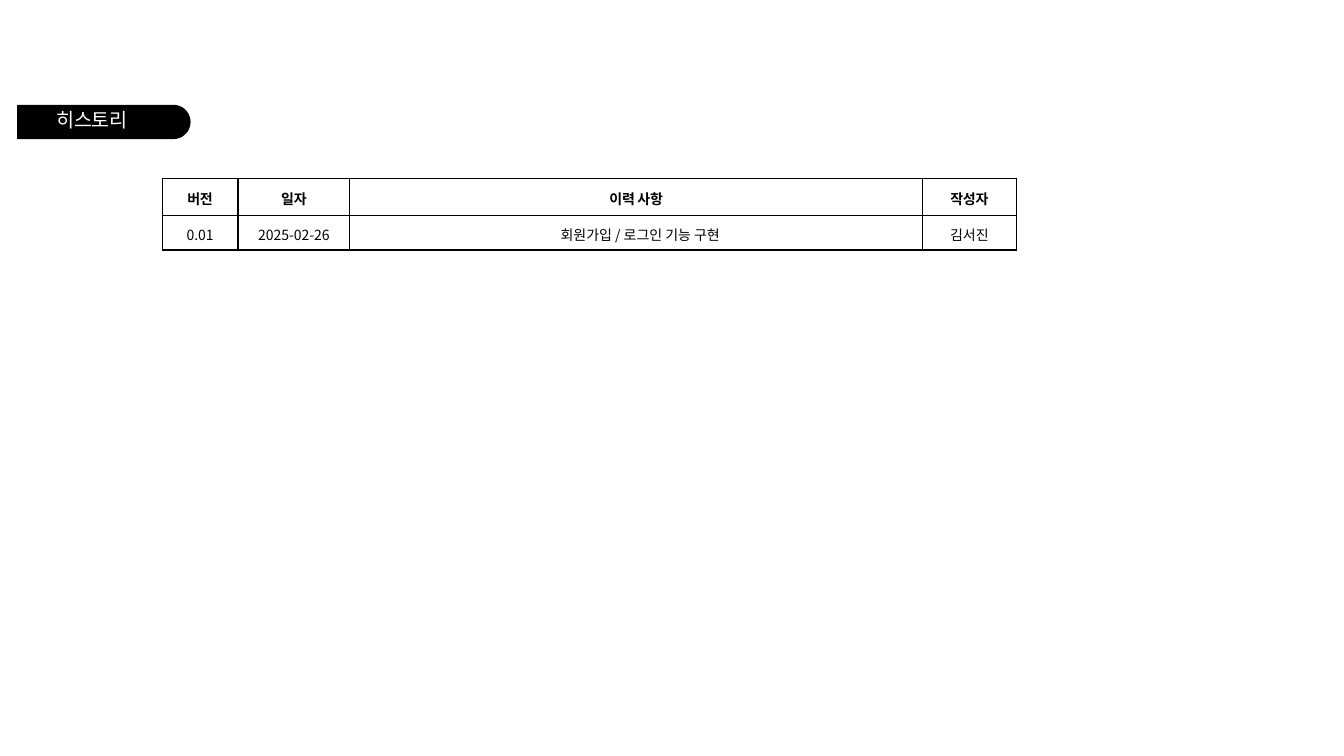
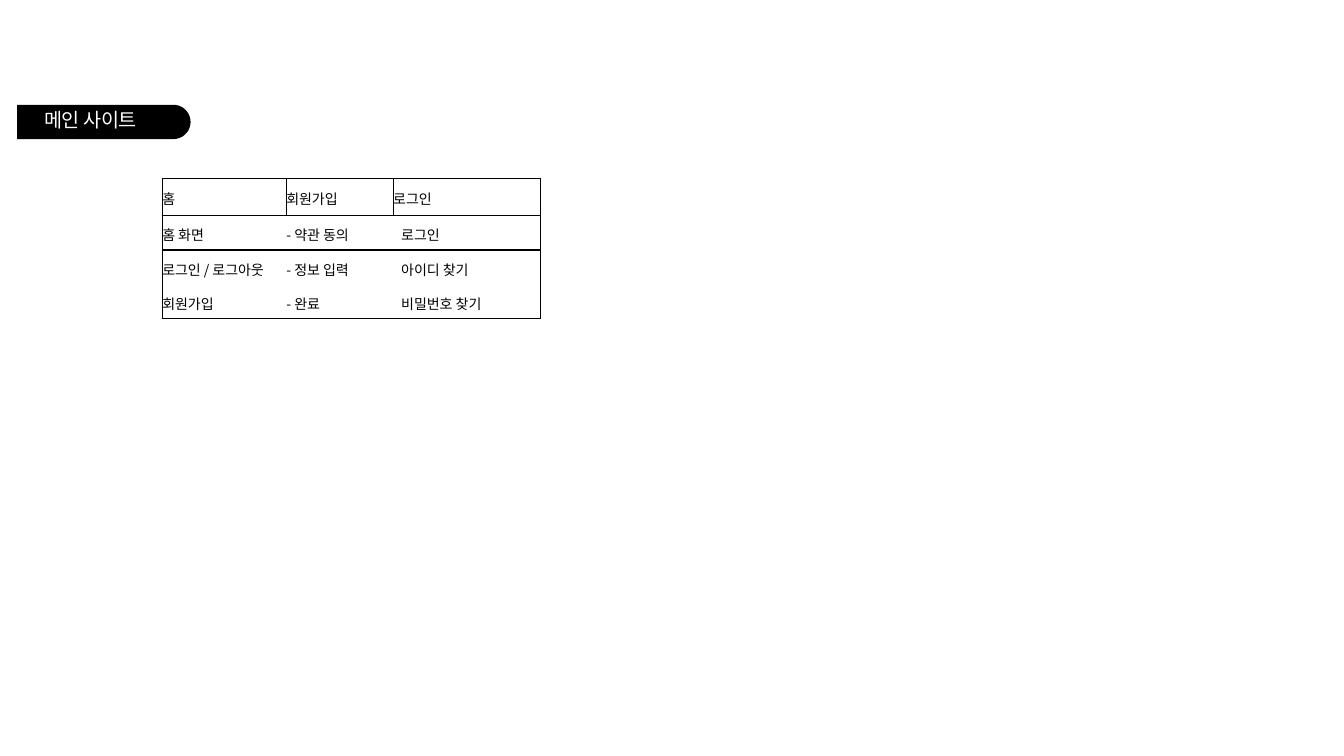
import math
from dataclasses import dataclass

from lxml import etree
from pptx import Presentation
from pptx import util as u
from pptx.dml.color import RGBColor
from pptx.enum import text
from pptx.oxml.ns import qn


@dataclass(frozen=True)
class Theme:
    ink: str = "000000"
    paper: str = "FFFFFF"
    font: str = "Noto Sans CJK KR"
    title_size: float = 14
    body_size: float = 10
    rule_width: float = 1
    title_tracking: int = -30
    header_tracking: int = -20


class Deck:
    """Holds the style and the current slide."""

    def __init__(self, theme):
        self.theme = theme
        self.presentation = Presentation()
        self.presentation.slide_width = u.Inches(13.33)
        self.presentation.slide_height = u.Inches(7.5)
        self.slide = None

    def add_slide(self):
        self.slide = self.presentation.slides.add_slide(self.presentation.slide_layouts[6])

    def add_text(self, frame, content, size, color, space_before, bold=False,
                 tracking=0, align=text.PP_ALIGN.LEFT, indent=0):
        paragraph = frame.paragraphs[0]
        paragraph.alignment = align
        paragraph.space_before = u.Pt(space_before)
        paragraph._p.get_or_add_pPr().set("marL", str(u.Inches(indent)))
        run = paragraph.add_run()
        run.text = content
        formats = {"name": self.theme.font, "size": u.Pt(size), "bold": bold}
        for name, value in formats.items():
            setattr(run.font, name, value)
        run.font.color.rgb = RGBColor.from_string(color)
        properties = run._r.get_or_add_rPr()
        properties.set("spc", str(tracking))
        etree.SubElement(properties, qn("a:ea"), typeface=self.theme.font)

    # Black tab with a half-round right end, and its title
    def title_tab(self, content, left, width):
        tab_left, tab_top, straight, radius = 0.17, 1.04, 1.55, 0.17
        center_x, center_y = tab_left + straight, tab_top + radius
        angles = [math.radians(degrees) for degrees in range(-90, 91, 10)]
        arc = [(u.Inches(center_x + radius * math.cos(angle)),
                u.Inches(center_y + radius * math.sin(angle))) for angle in angles]
        builder = self.slide.shapes.build_freeform(u.Inches(tab_left), u.Inches(tab_top))
        builder.add_line_segments(
            arc + [(u.Inches(tab_left), u.Inches(tab_top + 2 * radius))], close=True)
        tab = builder.convert_to_shape()
        tab.shadow.inherit = False
        tab.fill.solid()
        tab.fill.fore_color.rgb = RGBColor.from_string(self.theme.ink)
        tab.line.fill.background()

        box = self.slide.shapes.add_textbox(
            u.Inches(left), u.Inches(1.06), u.Inches(width), u.Inches(0.26))
        formats = {"margin_left": 0, "margin_right": 0, "margin_bottom": 0,
                   "margin_top": u.Inches(0.01), "word_wrap": True,
                   "auto_size": text.MSO_AUTO_SIZE.SHAPE_TO_FIT_TEXT}
        for name, value in formats.items():
            setattr(box.text_frame, name, value)
        self.add_text(box.text_frame, content, self.theme.title_size, self.theme.paper,
                      space_before=1, tracking=self.theme.title_tracking, indent=0.01)

    # Cell edges: a thin rule where wanted, nothing elsewhere
    def borders(self, cell, edges):
        properties = cell._tc.get_or_add_tcPr()
        for position, (side, ruled) in enumerate(edges.items()):
            line = etree.Element(qn("a:ln" + side), w=str(u.Pt(self.theme.rule_width)))
            if ruled:
                fill = etree.SubElement(line, qn("a:solidFill"))
                etree.SubElement(fill, qn("a:srgbClr"), val=self.theme.ink)
            else:
                etree.SubElement(line, qn("a:noFill"))
            properties.insert(position, line)

    # Table: the first divided_rows have column rules, the first two rows a rule below
    def table(self, widths, rows, divided_rows, align, bold_header=False):
        heights = [0.37] + [0.34] * (len(rows) - 1)
        frame = self.slide.shapes.add_table(
            len(rows), len(widths), u.Inches(1.61), u.Inches(1.77),
            u.Inches(sum(widths)), u.Inches(sum(heights)))
        table = frame.table
        table.first_row = table.horz_banding = False
        for column, width in zip(table.columns, widths):
            column.width = u.Inches(width)
        last_row, last_column = len(rows) - 1, len(widths) - 1
        for row, values in enumerate(rows):
            table.rows[row].height = u.Inches(heights[row])
            header, divided = row == 0, row < divided_rows
            for column, content in enumerate(values):
                cell = table.cell(row, column)
                formats = {"margin_left": 0, "margin_right": 0, "margin_bottom": 0,
                           "margin_top": u.Inches(0.1 if header else 0.09)}
                for name, value in formats.items():
                    setattr(cell, name, value)
                cell.fill.background()
                self.borders(cell, {
                    "L": divided or column == 0,
                    "R": divided or column == last_column,
                    "T": row <= 2,
                    "B": row < 2 or row == last_row})
                bold = header and bold_header
                self.add_text(cell.text_frame, content, self.theme.body_size, self.theme.ink,
                              space_before=7 if header else 6.2, bold=bold,
                              tracking=self.theme.header_tracking if bold else 0, align=align,
                              indent=0.08 if column == 2 and not header else 0)


def main():
    deck = Deck(Theme())

    # Version history
    deck.add_slide()
    deck.title_tab("히스토리", left=0.55, width=0.79)
    deck.table([0.75, 1.11, 5.68, 0.93],
               [["버전", "일자", "이력 사항", "작성자"],
                ["0.01", "2025-02-26", "회원가입 / 로그인 기능 구현", "김서진"]],
               divided_rows=2, align=text.PP_ALIGN.CENTER, bold_header=True)

    # Site map
    deck.add_slide()
    deck.title_tab("메인 사이트", left=0.43, width=1.16)
    deck.table([1.23, 1.06, 1.46],
               [["홈", "회원가입", "로그인"],
                ["홈 화면", "- 약관 동의", "로그인"],
                ["로그인 / 로그아웃", "- 정보 입력", "아이디 찾기"],
                ["회원가입", "- 완료", "비밀번호 찾기"]],
               divided_rows=1, align=text.PP_ALIGN.LEFT)

    deck.presentation.save("out.pptx")


if __name__ == "__main__":
    main()
